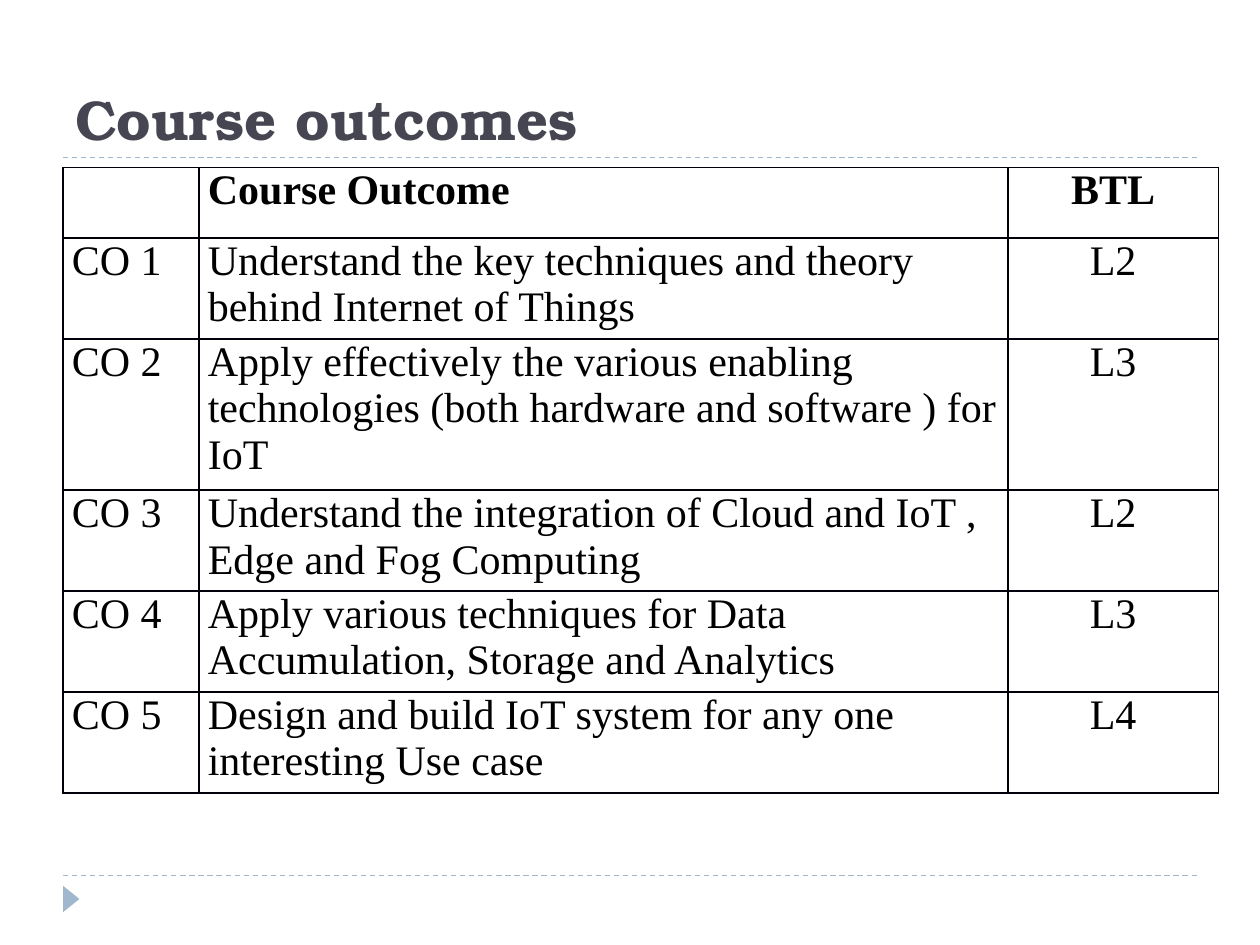
"""Build the course outcomes slide."""
from lxml.etree import SubElement as Sub
from pptx import Presentation
from pptx.dml.color import RGBColor as RGB
from pptx.enum.dml import MSO_LINE as Dash
from pptx.enum.shapes import MSO_CONNECTOR as Conn, MSO_SHAPE as Shape
from pptx.enum.text import MSO_ANCHOR as Anchor, PP_ALIGN as Align
from pptx.oxml.ns import qn
from pptx.util import Inches, Pt

TITLE = "Course outcomes"
ROWS = [
    ("", "Course Outcome", "BTL"),
    ("CO 1", "Understand the key techniques and theory behind Internet of Things", "L2"),
    ("CO 2", "Apply effectively the various enabling technologies "
             "(both hardware and software ) for IoT", "L3"),
    ("CO 3", "Understand the integration of Cloud and IoT , Edge and Fog Computing", "L2"),
    ("CO 4", "Apply various techniques for Data Accumulation, Storage and Analytics", "L3"),
    ("CO 5", "Design and build IoT system for any one interesting Use case", "L4"),
]
WIDTHS = [1.08, 6.42, 1.67]
HEIGHTS = [0.56, 0.8, 1.2, 0.8, 0.8, 0.8]
ALIGNS = [Align.LEFT, Align.LEFT, Align.CENTER]
RULES = [6.95, 1.25]
COLORS = {"accent": "9FB8CD", "title": "464653", "text": "000000", "border": "00000A"}


def color(name):
    return RGB.from_string(COLORS[name])


def write(para, text, font, size, tint, bold):
    run = para.add_run()
    run.text = text
    run.font.name, run.font.size, run.font.bold = font, Pt(size), bold
    run.font.color.rgb = color(tint)


def add_rule(slide, y):
    rule = slide.shapes.add_connector(
        Conn.STRAIGHT, Inches(0.5), Inches(y), Inches(9.5), Inches(y))
    rule.line.color.rgb = color("accent")
    rule.line.width, rule.line.dash_style = Pt(0.75), Dash.DASH
    Sub(rule._element.spPr, qn("a:effectLst"))


def add_mark(slide):
    mark = slide.shapes.add_shape(
        Shape.ISOSCELES_TRIANGLE, Inches(0.46), Inches(7.07), Inches(0.21), Inches(0.13))
    mark.rotation = 90
    mark.shadow.inherit = False
    mark.fill.solid()
    mark.fill.fore_color.rgb = color("accent")
    mark.line.fill.background()


def add_title(slide):
    box = slide.shapes.add_textbox(Inches(0.5), Inches(0.17), Inches(9), Inches(1.08))
    frame = box.text_frame
    frame.word_wrap, frame.vertical_anchor = True, Anchor.BOTTOM
    write(frame.paragraphs[0], TITLE, "TeX Gyre Bonum", 32, "title", True)


def add_borders(cell):
    props = cell._tc.get_or_add_tcPr()
    for side in ("lnL", "lnR", "lnT", "lnB"):
        line = Sub(props, qn(f"a:{side}"), w=str(Pt(1)))
        Sub(Sub(line, qn("a:solidFill")), qn("a:srgbClr"), val=COLORS["border"])


def add_grid(slide):
    grid = slide.shapes.add_table(
        len(ROWS), len(WIDTHS), Inches(0.5), Inches(1.33),
        Inches(sum(WIDTHS)), Inches(sum(HEIGHTS))).table
    for col, width in zip(grid.columns, WIDTHS):
        col.width = Inches(width)
    for r, (row, height) in enumerate(zip(ROWS, HEIGHTS)):
        grid.rows[r].height = Inches(height)
        for c, (text, align) in enumerate(zip(row, ALIGNS)):
            cell = grid.cell(r, c)
            cell.margin_left = cell.margin_right = Inches(0.07)
            cell.margin_top = cell.margin_bottom = 0
            add_borders(cell)
            cell.fill.background()
            para = cell.text_frame.paragraphs[0]
            para.alignment = align
            if text:
                write(para, text, "Times New Roman", 24, "text", r == 0)


def main():
    deck = Presentation()
    deck.slide_width, deck.slide_height = Inches(10), Inches(7.5)
    slide = deck.slides.add_slide(deck.slide_layouts[6])
    for y in RULES:
        add_rule(slide, y)
    add_mark(slide)
    add_title(slide)
    add_grid(slide)
    deck.save("out.pptx")


if __name__ == "__main__":
    main()
